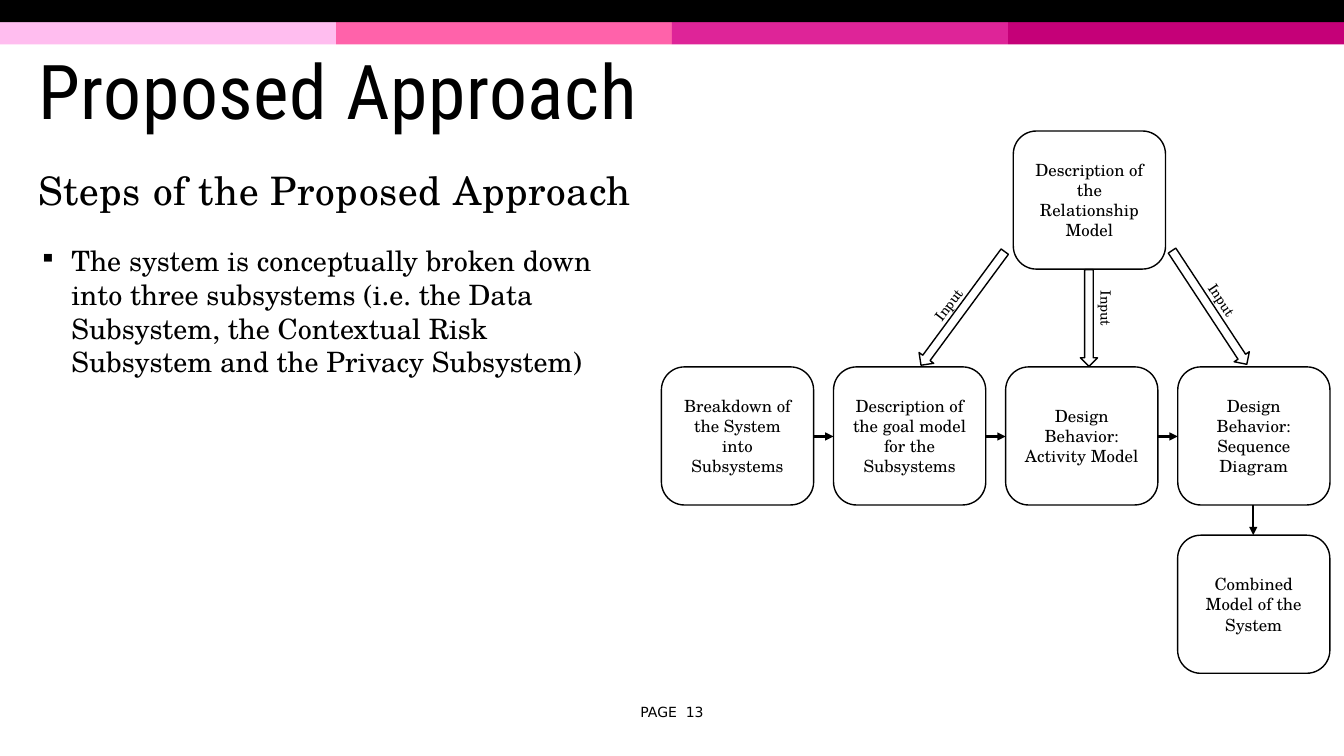
from lxml import etree
from pptx import Presentation
from pptx.dml.color import RGBColor
from pptx.enum.shapes import MSO_CONNECTOR, MSO_SHAPE
from pptx.enum.text import MSO_ANCHOR, PP_ALIGN
from pptx.oxml.ns import qn
from pptx.util import Inches, Pt

RECT = MSO_SHAPE.RECTANGLE
ROUND = MSO_SHAPE.ROUNDED_RECTANGLE
ARROW = MSO_SHAPE.RIGHT_ARROW
LINE = MSO_CONNECTOR.STRAIGHT
MID, TOP = MSO_ANCHOR.MIDDLE, MSO_ANCHOR.TOP
MIDDLE, LEFT = PP_ALIGN.CENTER, PP_ALIGN.LEFT
BLACK, WHITE = "000000", "FFFFFF"
SERIF, SANS, HEAD = "TeX Gyre Schola", "DejaVu Sans", "Roboto Condensed"


def paint(code):
    return RGBColor.from_string(code)


class Deck:
    """Holds the style and the current slide, and draws each kind of element."""

    def __init__(self):
        self.file = Presentation()
        self.file.slide_width = Inches(13.33)
        self.file.slide_height = Inches(7.5)
        self.slide = self.file.slides.add_slide(self.file.slide_layouts[6])
        self.items = self.slide.shapes

    def shape(self, kind, at, fill, edge=None, turn=0):
        item = self.items.add_shape(kind, *map(Inches, at))
        item.shadow.inherit = False
        item.fill.solid()
        item.fill.fore_color.rgb = paint(fill)
        if edge:
            item.line.color.rgb = paint(edge)
            item.line.width = Pt(1)
        else:
            item.line.fill.background()
        item.rotation = turn
        return item

    def label(self, item, words, size, font=SERIF, align=LEFT, anchor=MID, gap=0):
        frame = item.text_frame
        frame.word_wrap = True
        frame.vertical_anchor = anchor
        para = frame.paragraphs[0]
        para.alignment = align
        run = para.add_run()
        run.text = words
        run.font.size = Pt(size)
        run.font.name = font
        run.font.color.rgb = paint(BLACK)
        if gap:
            para.line_spacing = 0.85
            run._r.get_or_add_rPr().set("spc", str(gap))
        return para

    def text(self, at, words, size, turn=0, **style):
        item = self.items.add_textbox(*map(Inches, at))
        item.rotation = turn
        return self.label(item, words, size, **style)

    def bullet(self, at, words, size):
        para = self.text(at, words, size, anchor=TOP)
        para.space_before = para.space_after = Pt(8)
        props = para._p.get_or_add_pPr()
        props.set("marL", str(Inches(0.32)))
        props.set("indent", str(-Inches(0.32)))
        color = etree.SubElement(props, qn("a:buClr"))
        etree.SubElement(color, qn("a:srgbClr"), val=BLACK)
        etree.SubElement(props, qn("a:buSzPct"), val="85000")
        etree.SubElement(props, qn("a:buChar"), char="▪")

    def step(self, left, top, words):
        box = self.shape(ROUND, (left, top, 1.51, 1.37), WHITE, BLACK)
        self.label(box, words, 12, align=MIDDLE)

    def link(self, *ends):
        item = self.items.add_connector(LINE, *map(Inches, ends))
        item.line.color.rgb = paint(BLACK)
        item.line.width = Pt(1.5)
        props = item._element.spPr
        etree.SubElement(props.get_or_add_ln(), qn("a:tailEnd"), type="triangle")
        etree.SubElement(props, qn("a:effectLst"))


def main():
    deck = Deck()
    band = 13.33 / 4
    for i, fill in enumerate(("FFBDEF", "FF62AA", "DE2498", "C50078")):
        deck.shape(RECT, (i * band, 0.22, band, 0.22), fill)
    deck.shape(RECT, (0, 0, 13.33, 0.22), BLACK)

    deck.text((0.28, 0.47, 12.65, 0.98), "Proposed Approach", 54, font=HEAD, gap=50)
    deck.text((0.28, 1.61, 6.11, 0.62), "Steps of the Proposed Approach", 28, gap=50)
    deck.bullet(
        (0.29, 2.37, 6.04, 4.71),
        "The system is conceptually broken down into three subsystems "
        "(i.e. the Data Subsystem, the Contextual Risk Subsystem "
        "and the Privacy Subsystem)",
        20,
    )
    deck.text((6.11, 6.93, 1.11, 0.27), "PAGE  13", 10, font=SANS, align=MIDDLE)

    steps = (
        "Breakdown of the System into Subsystems",
        "Description of the goal model for the Subsystems",
        "Design Behavior: Activity Model",
        "Design Behavior: Sequence Diagram",
    )
    first, pitch, wide = 6.56, 1.706, 1.51
    pitch = round((11.68 - first) / 3, 3)
    for i, words in enumerate(steps):
        left = first + i * pitch
        deck.step(left, 3.64, words)
        if i:
            deck.link(left - pitch + wide, 4.33, left, 4.33)
    deck.step(11.68, 5.31, "Combined Model of the System")
    deck.link(12.43, 5.01, 12.43, 5.31)
    deck.step(10.05, 1.3, "Description of the Relationship Model")

    inputs = (
        ((8.85, 2.97, 1.4, 0.18), 126.4, (9.01, 2.64, 1.18, 0.27), 307.7),
        ((10.32, 3.07, 0.96, 0.17), 90, (10.46, 3.15, 1.01, 0.28), 90),
        ((11.32, 2.96, 1.35, 0.18), 56.7, (11.73, 3.05, 1.05, 0.27), 56.6),
    )
    for at, turn, spot, tilt in inputs:
        deck.shape(ARROW, at, WHITE, BLACK, turn)
        deck.text(spot, "Input", 10, tilt, anchor=TOP)

    deck.file.save("out.pptx")


if __name__ == "__main__":
    main()
